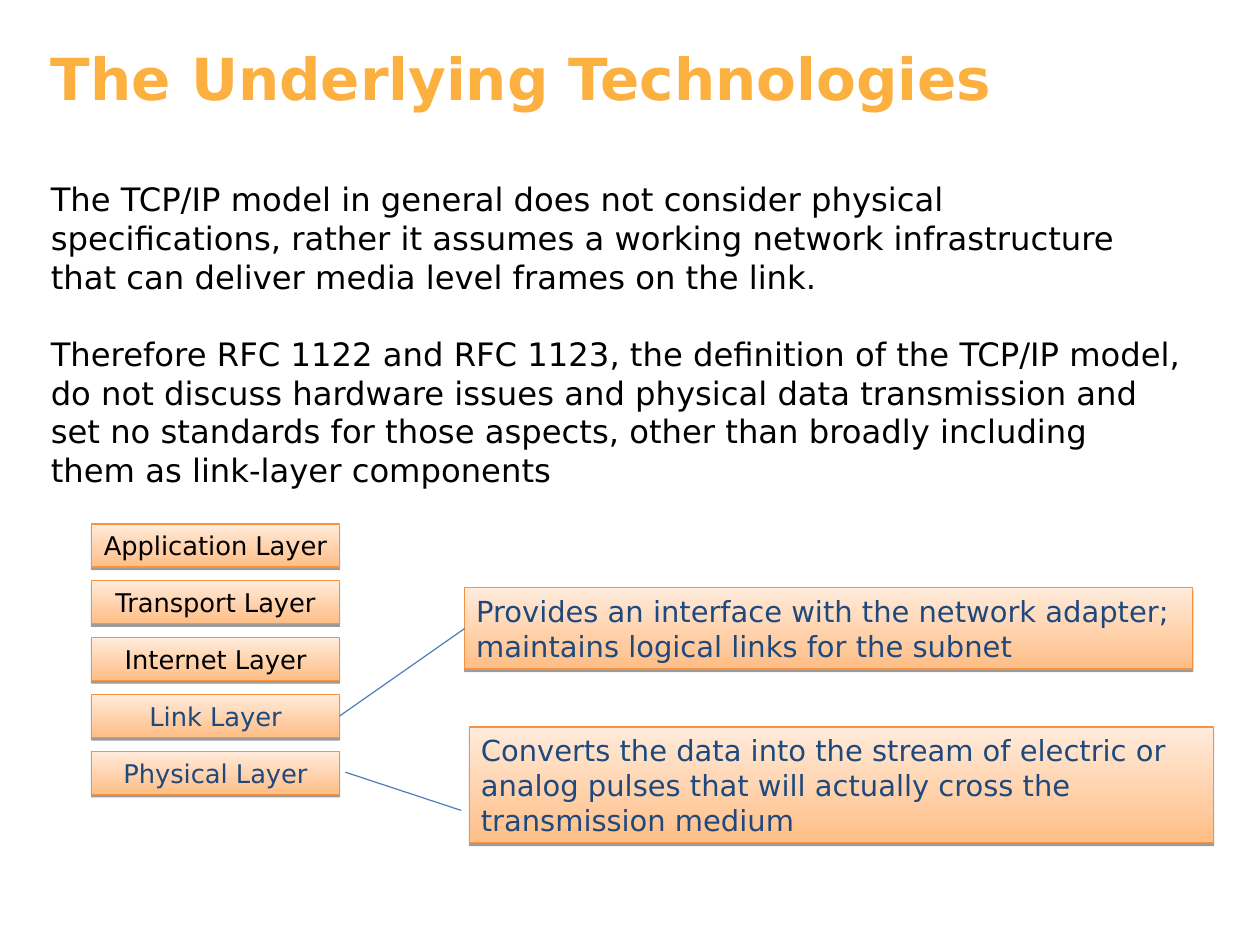
from lxml import etree
from pptx import Presentation
from pptx import util as u
from pptx.dml.color import RGBColor
from pptx.enum import shapes, text
from pptx.oxml.ns import qn

COLORS = {
    "title": "FBB040", "body": "000000", "accent": "1F497D",
    "fill_bottom": "FFBE86", "fill_top": "FFEBDB",
    "border": "F69240", "link": "4A7EBB", "shadow": "000000",
}
FONT = "DejaVu Sans"
LAYERS = [
    ("Application Layer", "body"),
    ("Transport Layer", "body"),
    ("Internet Layer", "body"),
    ("Link Layer", "accent"),
    ("Physical Layer", "accent"),
]
BODY = [
    "The TCP/IP model in general does not consider physical specifications, rather it "
    "assumes a working network infrastructure that can deliver media level frames on the link.",
    "Therefore RFC 1122 and RFC 1123, the definition of the TCP/IP model, do not discuss "
    "hardware issues and physical data transmission and set no standards for those aspects, "
    "other than broadly including them as link-layer components",
]
LINK_NOTE = ("Provides an interface with the network adapter; "
             "maintains logical links for the subnet")
PHYSICAL_NOTE = ("Converts the data into the stream of electric or analog pulses "
                 "that will actually cross the transmission medium")


def color(name):
    """Return the named colour."""
    return RGBColor.from_string(COLORS[name])


def write(shape, lines, size, ink, bold=False, align=text.PP_ALIGN.LEFT, gap=0):
    """Fill a shape with wrapped paragraphs, separated by a gap in points."""
    frame = shape.text_frame
    frame.word_wrap = True
    frame.text = "\n".join(lines)
    for index, para in enumerate(frame.paragraphs):
        para.alignment = align
        if index:
            para.space_before = u.Pt(gap)
        for span in para.runs:
            span.font.name = FONT
            span.font.size = u.Pt(size)
            span.font.bold = bold
            span.font.color.rgb = color(ink)


def add_text(page, box, lines, size, ink, **style):
    """Place a plain text block in the given box."""
    shape = page.shapes.add_textbox(*map(u.Inches, box))
    write(shape, lines, size, ink, **style)


def add_panel(page, box):
    """Place an orange gradient rectangle with a small drop shadow."""
    panel = page.shapes.add_shape(shapes.MSO_SHAPE.RECTANGLE, *map(u.Inches, box))
    panel.fill.gradient()
    panel.fill.gradient_angle = 90
    for stop, name in zip(panel.fill.gradient_stops, ("fill_bottom", "fill_top")):
        stop.color.rgb = color(name)
    panel.line.color.rgb = color("border")
    panel.line.width = u.Pt(0.75)
    panel.shadow.inherit = False
    effects = panel.element.spPr.find(qn("a:effectLst"))
    shadow = etree.SubElement(effects, qn("a:outerShdw"), blurRad="0", dist="20000",
                              dir="5400000", rotWithShape="0")
    tint = etree.SubElement(shadow, qn("a:srgbClr"), val=COLORS["shadow"])
    etree.SubElement(tint, qn("a:alpha"), val="38000")
    return panel


def add_layers(page, box, pitch):
    """Stack the layer labels downward, the first one filling the given box."""
    left, top, width, height = box
    panels = []
    for row, (label, ink) in enumerate(LAYERS):
        panel = add_panel(page, (left, top + row * pitch, width, height))
        write(panel, [label], 16, ink, align=text.PP_ALIGN.CENTER)
        panel.text_frame.vertical_anchor = text.MSO_ANCHOR.MIDDLE
        panels.append(panel)
    return panels


def add_note(page, box, note):
    """Place an explanatory note in the given box."""
    panel = add_panel(page, box)
    write(panel, [note], 18, "accent")
    panel.text_frame.vertical_anchor = text.MSO_ANCHOR.TOP
    return panel


def add_link(page, start, end):
    """Draw a thin blue line between two points."""
    link = page.shapes.add_connector(shapes.MSO_CONNECTOR.STRAIGHT,
                                     *map(u.Inches, start + end))
    link.line.color.rgb = color("link")
    link.line.width = u.Pt(0.75)
    etree.SubElement(link.element.spPr, qn("a:effectLst"))
    return link


def build_slide(page, box):
    """Lay out the heading, body, layer stack and notes within the box."""
    left, top, width, height = box
    add_text(page, (left, top, 8.89, 0.82), ["The Underlying Technologies"], 36,
             "title", bold=True)
    add_text(page, (left, top + 1.18, 9.96, 2.77), BODY, 20, "body", gap=24)
    layers = add_layers(page, (left + 0.45, top + 4.2, 2.14, 0.37), 0.49)
    link_note = add_note(page, (left + 3.67, top + 4.75, 6.28, 0.7), LINK_NOTE)
    link = add_link(page, (left + 2.6, top + 5.86), (left + 3.67, top + 5.11))
    link.begin_connect(layers[3], 3)
    link.end_connect(link_note, 1)
    add_note(page, (left + 3.71, top + 5.95, width - 3.71, height - 5.95), PHYSICAL_NOTE)
    add_link(page, (left + 2.64, top + 6.34), (left + 3.64, top + 6.67))


def main():
    """Build and save the deck."""
    deck = Presentation()
    deck.slide_width = u.Inches(10.87)
    deck.slide_height = u.Inches(8.15)
    page = deck.slides.add_slide(deck.slide_layouts[6])
    build_slide(page, (0.34, 0.32, 10.13, 6.95))
    deck.save("out.pptx")


if __name__ == "__main__":
    main()
